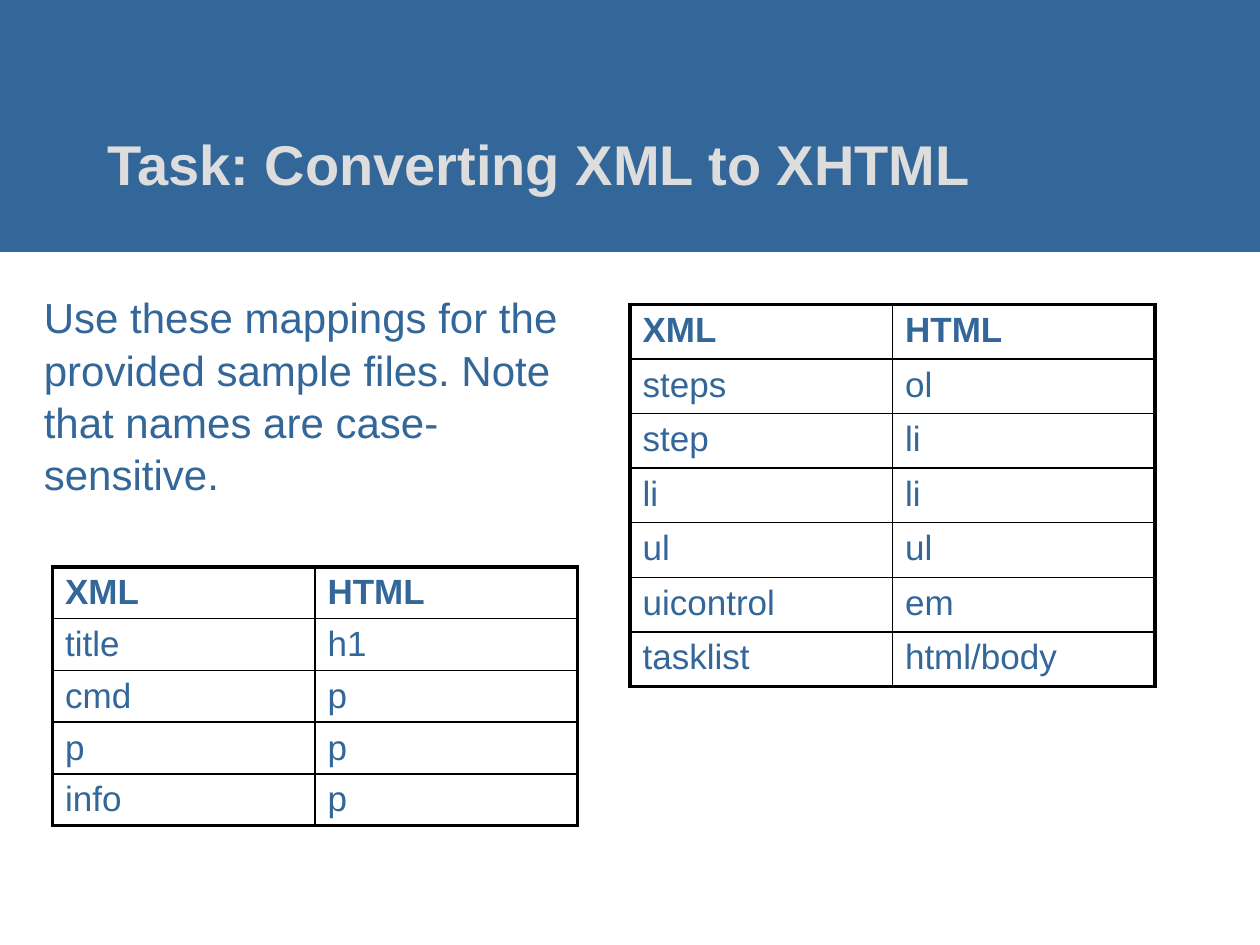
import pptx
import pptx.dml.color
import pptx.enum.shapes
import pptx.enum.text
import pptx.oxml.ns
import pptx.util
import lxml.etree

COLORS = {"blue": "336699", "title": "DDDDDD", "border": "000000"}
FONT = "Arial"
WIDTH, HEIGHT = pptx.util.Inches(10), pptx.util.Inches(7.5)
COLUMN, ROW = WIDTH // 120, HEIGHT // 90  # grid of 1/12 inch
OUTER_LINE, INNER_LINE = 2.25, 1

LEFT_MAPPINGS = [("XML", "HTML"), ("title", "h1"), ("cmd", "p"), ("p", "p"), ("info", "p")]
RIGHT_MAPPINGS = [
    ("XML", "HTML"), ("steps", "ol"), ("step", "li"), ("li", "li"),
    ("ul", "ul"), ("uicontrol", "em"), ("tasklist", "html/body"),
]


def grid_box(left, top, width, height):
    return (round(left * COLUMN), round(top * ROW),
            round(width * COLUMN), round(height * ROW))


def rgb(name):
    return pptx.dml.color.RGBColor.from_string(COLORS[name])


def format_text(text_frame, size, color, bold=False):
    for paragraph in text_frame.paragraphs:
        paragraph.alignment = pptx.enum.text.PP_ALIGN.LEFT
        for run in paragraph.runs:
            run.font.name = FONT
            run.font.size = pptx.util.Pt(size)
            run.font.bold = bold
            run.font.color.rgb = rgb(color)


def set_borders(cell, widths):
    """Draw the left, right, top and bottom lines of a cell."""
    properties = cell._tc.get_or_add_tcPr()
    qn = pptx.oxml.ns.qn
    for index, (side, width) in enumerate(zip("LRTB", widths)):
        line = lxml.etree.Element(qn(f"a:ln{side}"), w=str(pptx.util.Pt(width)))
        fill = lxml.etree.SubElement(line, qn("a:solidFill"))
        lxml.etree.SubElement(fill, qn("a:srgbClr"), val=COLORS["border"])
        properties.insert(index, line)


def add_header(slide, box, title_box):
    # Band behind the title
    band = slide.shapes.add_shape(pptx.enum.shapes.MSO_SHAPE.RECTANGLE, *box)
    band.shadow.inherit = False
    band.fill.solid()
    band.fill.fore_color.rgb = rgb("blue")
    band.line.fill.background()

    # Title
    title = slide.shapes.title
    title.element.addprevious(band.element)
    title.left, title.top, title.width, title.height = title_box
    title.text_frame.text = "Task: Converting XML to XHTML"
    title.text_frame.vertical_anchor = pptx.enum.text.MSO_ANCHOR.MIDDLE
    title.text_frame.paragraphs[0].space_before = pptx.util.Pt(6)
    format_text(title.text_frame, 32, "title", bold=True)


def add_instruction(slide, box):
    text_frame = slide.shapes.add_textbox(*box).text_frame
    text_frame.word_wrap = True
    text_frame.text = ("Use these mappings for the provided sample files. "
                       "Note that names are case-sensitive.")
    text_frame.paragraphs[0].line_spacing = 1.04
    format_text(text_frame, 24, "blue")


def add_mapping_table(slide, box, mappings):
    row_count, column_count = len(mappings), len(mappings[0])
    table = slide.shapes.add_table(row_count, column_count, *box).table
    table.first_row = table.horz_banding = False
    for row in table.rows:
        row.height = box[3] // row_count
    for row_index, names in enumerate(mappings):
        for column_index, name in enumerate(names):
            cell = table.cell(row_index, column_index)
            cell.text_frame.text = name
            cell.text_frame.paragraphs[0].space_before = pptx.util.Pt(4)
            cell.text_frame.paragraphs[0].space_after = pptx.util.Pt(12)
            format_text(cell.text_frame, 20, "blue", bold=row_index == 0)
            cell.fill.background()
            edges = (column_index == 0, column_index == column_count - 1,
                     row_index == 0, row_index == row_count - 1)
            set_borders(cell, [OUTER_LINE if edge else INNER_LINE for edge in edges])


def main():
    presentation = pptx.Presentation()
    presentation.slide_width, presentation.slide_height = WIDTH, HEIGHT
    slide = presentation.slides.add_slide(presentation.slide_layouts[5])

    add_header(slide, grid_box(0, 0, 120, 24), grid_box(9, 8, 107, 15))
    add_mapping_table(slide, grid_box(60, 29, 50, 36.4), RIGHT_MAPPINGS)
    add_mapping_table(slide, grid_box(5, 54, 50, 24.6), LEFT_MAPPINGS)
    add_instruction(slide, grid_box(3, 27, 55, 20.4))

    presentation.save("out.pptx")


if __name__ == "__main__":
    main()
